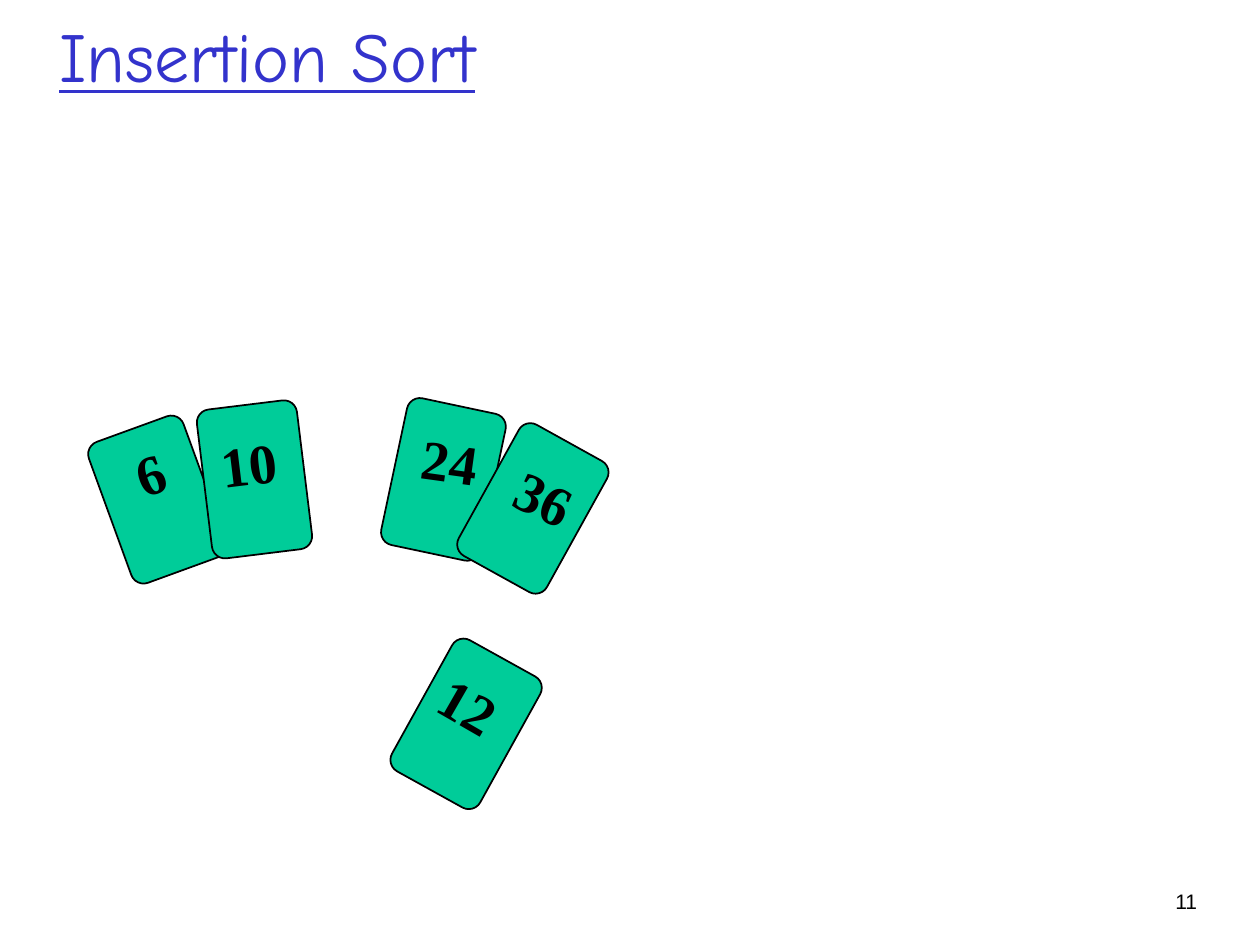
from pptx import Presentation
from pptx.dml.color import RGBColor
from pptx.enum.shapes import MSO_SHAPE
from pptx.enum.text import MSO_ANCHOR, MSO_AUTO_SIZE, PP_ALIGN
from pptx.util import Inches, Pt

ROUNDED = MSO_SHAPE.ROUNDED_RECTANGLE
LEFT, RIGHT = PP_ALIGN.LEFT, PP_ALIGN.RIGHT
TOP, BOTTOM = MSO_ANCHOR.TOP, MSO_ANCHOR.BOTTOM
NO_FIT, GROW = MSO_AUTO_SIZE.NONE, MSO_AUTO_SIZE.SHAPE_TO_FIT_TEXT

COLORS = {"title": "3333CC", "card": "00CC99", "ink": "000000"}
FORMATS = {
    "title": {"name": "Comic Neue", "size": Pt(40), "underline": True},
    "value": {"name": "Times New Roman", "size": Pt(32), "bold": True},
    "number": {"name": "Arial", "size": Pt(12)},
}
CARD_W, CARD_H, CARD_RADIUS = 0.8, 1.19, 0.13
LABEL_H = 0.63

# Each card: value, (left, top, rotation), label (left, top, width, rotation)
LEFT_HAND = [
    ("6", (0.85, 3.37, 340), (0.98, 3.44, 0.42, 341)),
    ("10", (1.62, 3.21, 353), (1.65, 3.36, 0.65, 353)),
]
RIGHT_HAND = [
    ("24", (3.12, 3.21, 12), (3.25, 3.34, 0.65, 8)),
    ("36", (3.83, 3.44, 29), (4, 3.63, 0.65, 25)),
]
NEW_CARD = [("12", (3.3, 5.15, 29), (3.4, 5.28, 0.65, 30))]


def rgb(name):
    return RGBColor.from_string(COLORS[name])


class SlideBuilder:
    def __init__(self, prs):
        self.s = prs.slides.add_slide(prs.slide_layouts[5])

    def set_text(self, sp, text, style, color="ink", align=LEFT, anchor=TOP,
                 wrap=True, fit=NO_FIT):
        tf = sp.text_frame
        tf.word_wrap, tf.auto_size, tf.vertical_anchor = wrap, fit, anchor
        p = tf.paragraphs[0]
        p.alignment = align
        r = p.add_run()
        r.text = text
        for key, value in FORMATS[style].items():
            setattr(r.font, key, value)
        r.font.color.rgb = rgb(color)

    def title(self, text, *box):
        sp = self.s.shapes.title
        sp.left, sp.top, sp.width, sp.height = map(Inches, box)
        self.set_text(sp, text, "title", "title", anchor=BOTTOM)

    def text(self, shapes, text, style, box, rotation=0, **layout):
        sp = shapes.add_textbox(*map(Inches, box))
        self.set_text(sp, text, style, **layout)
        sp.rotation = rotation

    def card(self, shapes, left, top, rotation):
        sp = shapes.add_shape(ROUNDED, *map(Inches, (left, top, CARD_W, CARD_H)))
        sp.adjustments[0] = CARD_RADIUS
        sp.rotation = rotation
        sp.shadow.inherit = False
        sp.fill.solid()
        sp.fill.fore_color.rgb = rgb("card")
        sp.line.color.rgb = rgb("ink")
        sp.line.width = Pt(1)

    def hand(self, cards, grouped=False):
        shapes = self.s.shapes
        if grouped:
            shapes = shapes.add_group_shape().shapes
        for _, place, _ in cards:
            self.card(shapes, *place)
        for value, _, (left, top, width, rotation) in cards:
            self.text(shapes, value, "value", (left, top, width, LABEL_H),
                      rotation, wrap=False, fit=GROW)


def main():
    prs = Presentation()
    prs.slide_width, prs.slide_height = Inches(10), Inches(7.5)
    slide = SlideBuilder(prs)

    # Slide number and title
    slide.text(slide.s.shapes, "11", "number", (8.8, 7, 0.8, 0.32), align=RIGHT)
    slide.title("Insertion Sort", 0.37, 0.25, 7.1, 0.57)

    # Sorted cards with a gap, and the card to insert
    slide.hand(LEFT_HAND)
    slide.hand(RIGHT_HAND, grouped=True)
    slide.hand(NEW_CARD)

    prs.save("out.pptx")


if __name__ == "__main__":
    main()
